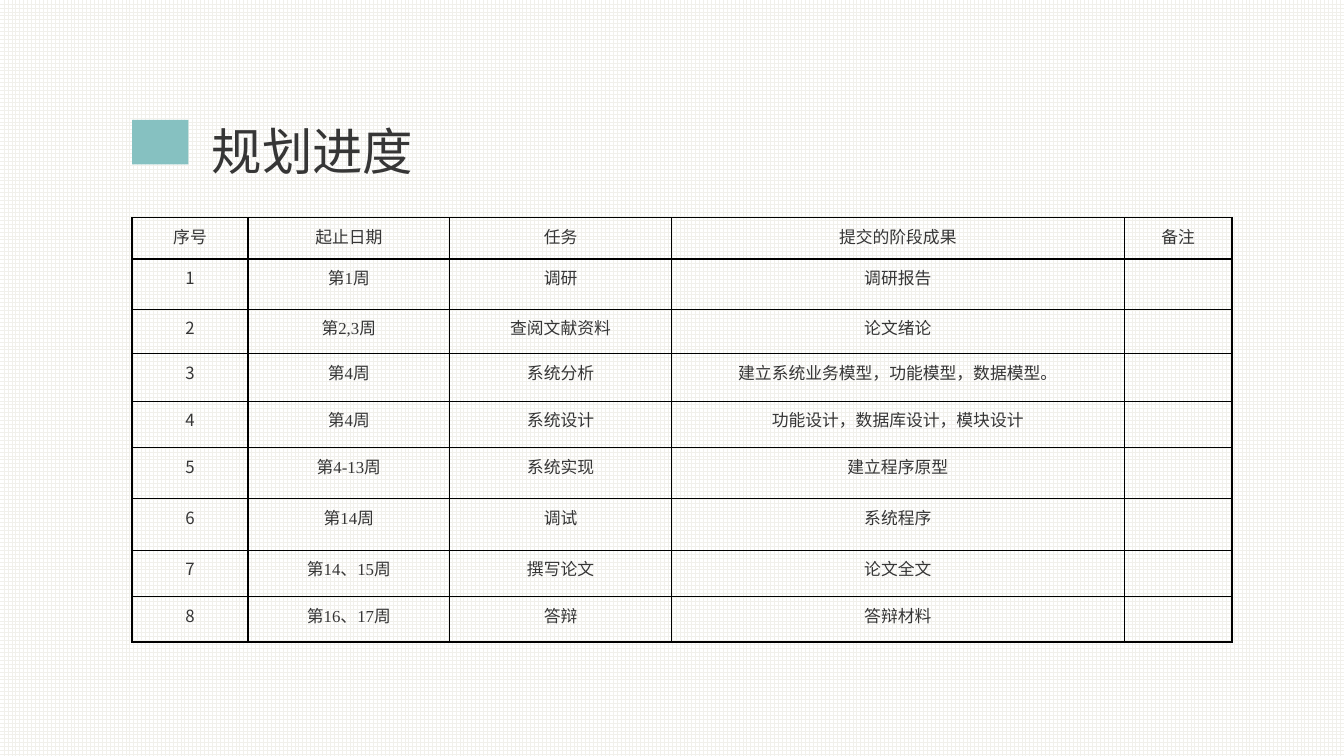
from lxml import etree
from pptx import Presentation
from pptx.dml.color import RGBColor
from pptx.enum.dml import MSO_PATTERN
from pptx.enum.shapes import MSO_SHAPE
from pptx.enum.text import MSO_ANCHOR, MSO_AUTO_SIZE, PP_ALIGN
from pptx.oxml import parse_xml
from pptx.oxml.ns import nsdecls
from pptx.util import Inches, Pt

TEXT_COLOR = "363636"


def color(value):
    return RGBColor.from_string(value)


def add_borders(cell, line_color, width):
    """Draw the four cell edges; they must precede the fill in the XML."""
    properties = cell._tc.get_or_add_tcPr()
    for position, edge in enumerate(("lnL", "lnR", "lnT", "lnB")):
        line = parse_xml(f'<a:{edge} {nsdecls("a")} w="{Pt(width)}"/>')
        fill = etree.SubElement(line, f"{{{line.nsmap['a']}}}solidFill")
        etree.SubElement(fill, f"{{{line.nsmap['a']}}}srgbClr", val=line_color)
        properties.insert(position, line)


deck = Presentation()
deck.slide_width, deck.slide_height = Inches(13.33), Inches(7.5)
page = deck.slides.add_slide(deck.slide_layouts[5])

# Grid background
background = page.background.fill
background.patterned()
background.pattern = MSO_PATTERN.LARGE_GRID
background.fore_color.rgb = color("F1F0EB")
background.back_color.rgb = color("FFFFFF")

# Title
title = page.shapes.title
title.left, title.top = Inches(2), Inches(0.84)
title.width, title.height = Inches(7.84), Inches(0.9)
frame = title.text_frame
frame.text = "规划进度"
frame.word_wrap = True
frame.auto_size = MSO_AUTO_SIZE.SHAPE_TO_FIT_TEXT
frame.vertical_anchor = MSO_ANCHOR.TOP
para = frame.paragraphs[0]
para.alignment = PP_ALIGN.LEFT
para.line_spacing = 1.5
para.font.size = Pt(36)
para.font.name = "Cabin"
para.font.color.rgb = color(TEXT_COLOR)

# Accent block beside the title
accent = page.shapes.add_shape(
    MSO_SHAPE.RECTANGLE, Inches(1.31), Inches(1.19), Inches(0.56), Inches(0.44))
accent.shadow.inherit = False
accent.fill.solid()
accent.fill.fore_color.rgb = color("86C1C1")
accent.line.fill.background()

# Schedule table
header = ("序号", "起止日期", "任务", "提交的阶段成果", "备注")
tasks = [
    ("第1周", "调研", "调研报告"),
    ("第2,3周", "查阅文献资料", "论文绪论"),
    ("第4周", "系统分析", "建立系统业务模型，功能模型，数据模型。"),
    ("第4周", "系统设计", "功能设计，数据库设计，模块设计"),
    ("第4-13周", "系统实现", "建立程序原型"),
    ("第14周", "调试", "系统程序"),
    ("第14、15周", "撰写论文", "论文全文"),
    ("第16、17周", "答辩", "答辩材料"),
]
rows = [header] + [(str(number), *task, "") for number, task in enumerate(tasks, 1)]
column_widths = (1.15, 2, 2.2, 4.49, 1.07)
row_heights = (0.41, 0.5, 0.44, 0.47, 0.46, 0.51, 0.51, 0.46, 0.45)

schedule = page.shapes.add_table(
    len(rows), len(header), Inches(1.31), Inches(2.16),
    Inches(sum(column_widths)), Inches(sum(row_heights))).table
schedule.first_row = False
schedule.horz_banding = False
for column, width in zip(schedule.columns, column_widths):
    column.width = Inches(width)
for row, height in zip(schedule.rows, row_heights):
    row.height = Inches(height)

for row_index, texts in enumerate(rows):
    for column_index, text in enumerate(texts):
        cell = schedule.cell(row_index, column_index)
        cell.fill.background()
        add_borders(cell, "000000", 1)
        cell.margin_left = cell.margin_right = Inches(0.07)
        cell.margin_top = cell.margin_bottom = 0
        if not text:
            continue
        cell.text = text
        is_number = row_index > 0 and column_index == 0
        para = cell.text_frame.paragraphs[0]
        para.alignment = PP_ALIGN.CENTER
        para.line_spacing = 1.25
        para.space_before = para.space_after = Pt(3)
        para.font.size = Pt(12)
        para.font.name = "Noto Sans CJK SC" if is_number else "Times New Roman"
        para.font.color.rgb = color(TEXT_COLOR)

deck.save("out.pptx")
